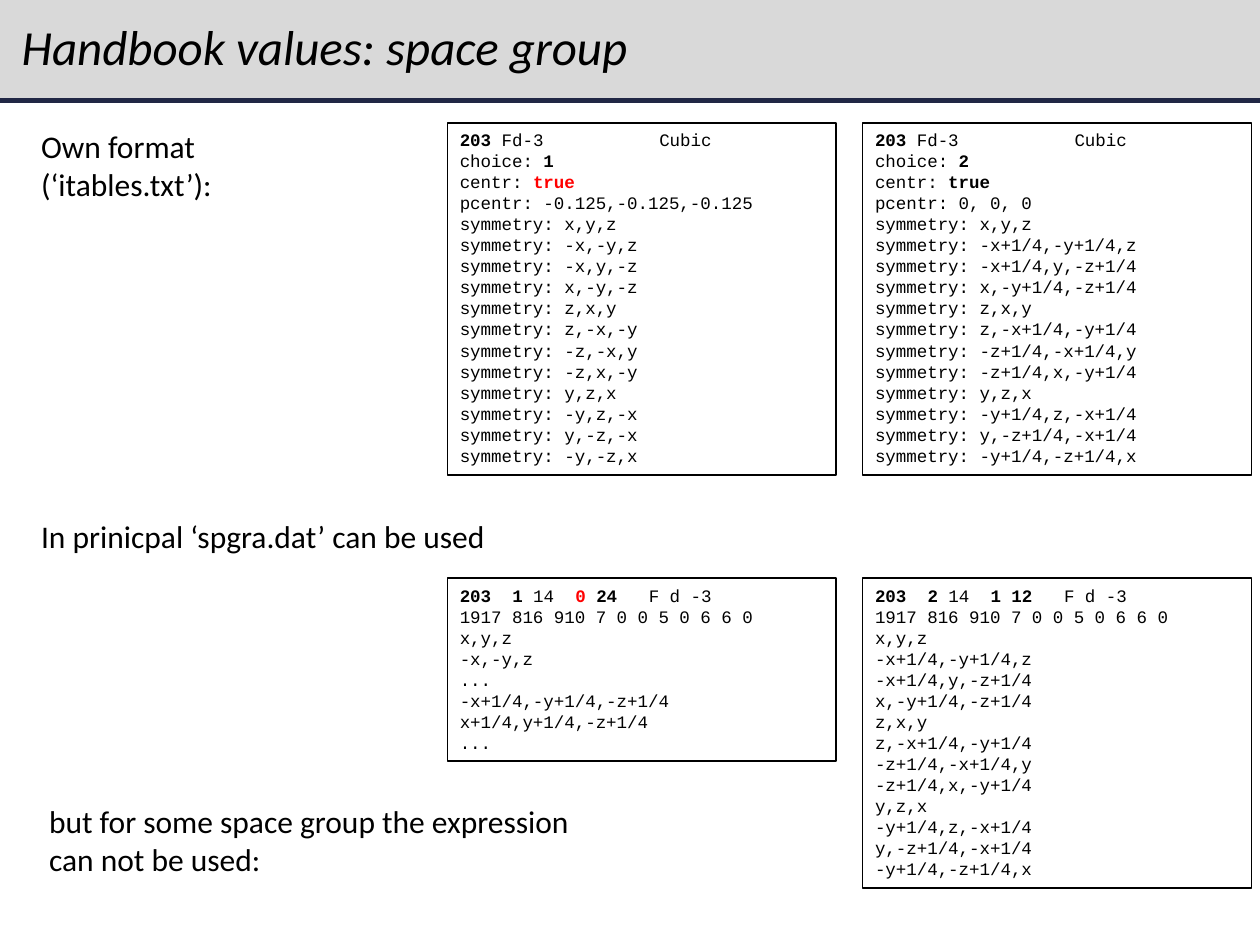
from dataclasses import dataclass

from pptx import Presentation
from pptx.dml.color import RGBColor
from pptx.enum.shapes import MSO_SHAPE as Shape
from pptx.enum.text import MSO_ANCHOR as Anchor, MSO_AUTO_SIZE as AutoSize, PP_ALIGN as Align
from pptx.oxml.ns import qn
from pptx.util import Cm, Pt
from lxml.etree import SubElement


@dataclass(frozen=True)
class Theme:
    ink: RGBColor = RGBColor(0, 0, 0)
    paper: RGBColor = RGBColor(255, 255, 255)
    accent: RGBColor = RGBColor(255, 0, 0)
    band: RGBColor = RGBColor(0xD9, 0xD9, 0xD9)
    rule: RGBColor = RGBColor(0x21, 0x27, 0x45)
    text_font: str = "Calibri"
    code_font: str = "Courier New"
    title_size: Pt = Pt(28)
    note_size: Pt = Pt(18)
    code_size: Pt = Pt(10)


THEME = Theme()
CODE_ADVANCE = 0.2117
BOLD = {"bold": True}
RED = {"bold": True, "color": THEME.accent}


def apply(target, values):
    for name, value in values.items():
        setattr(target, name, value)


def add_span(para, text, font, size, color=THEME.ink, **style):
    span = para.add_run()
    span.text = text
    apply(span.font, {"name": font, "size": size, **style})
    span.font.color.rgb = color


def add_panel(page, bounds, fill, line, width):
    panel = page.shapes.add_shape(Shape.RECTANGLE, *map(Cm, bounds))
    panel.shadow.inherit = False
    panel.fill.solid()
    panel.fill.fore_color.rgb = fill
    panel.line.color.rgb = line
    panel.line.width = Pt(width)
    return panel


def add_tab_stops(para, columns):
    stops = SubElement(para._p.get_or_add_pPr(), qn("a:tabLst"))
    for column in columns:
        SubElement(stops, qn("a:tab"), pos=str(Cm(column * CODE_ADVANCE)), algn="l")


def add_header(page, text, bounds):
    left, top, width, height = bounds
    band = add_panel(page, (left - 0.53, top - 0.25, width + 1.12, height + 0.28),
                     THEME.band, THEME.rule, 3)
    page.shapes._spTree.insert(2, band._element)
    title = page.shapes.title
    apply(title, dict(zip(("left", "top", "width", "height"),
                          map(Cm, (left + 0.18, top, 23.8, height)))))
    apply(title.text_frame, {"vertical_anchor": Anchor.MIDDLE, "word_wrap": True,
                             "auto_size": AutoSize.NONE})
    para = title.text_frame.paragraphs[0]
    apply(para, {"alignment": Align.LEFT, "line_spacing": 0.9})
    add_span(para, text, THEME.text_font, THEME.title_size, italic=True)


def add_note(page, lines, bounds, wrap=False):
    box = page.shapes.add_textbox(*map(Cm, bounds))
    frame = box.text_frame
    apply(frame, {"word_wrap": wrap, "auto_size": AutoSize.SHAPE_TO_FIT_TEXT})
    for index, line in enumerate(lines):
        para = frame.add_paragraph() if index else frame.paragraphs[0]
        add_span(para, line, THEME.text_font, THEME.note_size)


def add_listing(page, lines, columns, bounds):
    frame = add_panel(page, bounds, THEME.paper, THEME.ink, 1).text_frame
    apply(frame, {"word_wrap": True, "vertical_anchor": Anchor.TOP,
                  "auto_size": AutoSize.SHAPE_TO_FIT_TEXT})
    for index, line in enumerate(lines):
        para = frame.add_paragraph() if index else frame.paragraphs[0]
        para.alignment = Align.LEFT
        if index == 0:
            add_tab_stops(para, columns)
        for text, style in line:
            add_span(para, text, THEME.code_font, THEME.code_size, **style)


def plain(lines):
    return [[(line, {})] for line in lines]


def table_entry(choice, centre_style, centre, operators):
    return [
        [("203", BOLD), (" Fd-3\tCubic", {})],
        [("choice: ", {}), (choice, BOLD)],
        [("centr: ", {}), ("true", centre_style)],
        *plain([f"pcentr: {centre}"]),
        *plain(f"symmetry: {operator}" for operator in operators),
    ]


def data_entry(choice, flag, flag_style, count, operators):
    return [
        [("203\t" + choice, BOLD), (" 14\t", {}), (flag + " ", flag_style),
         (count, BOLD), ("\tF d -3", {})],
        *plain(["1917 816 910 7 0 0 5 0 6 6 0", *operators]),
    ]


FIRST_CHOICE = ("x,y,z -x,-y,z -x,y,-z x,-y,-z z,x,y z,-x,-y "
                "-z,-x,y -z,x,-y y,z,x -y,z,-x y,-z,-x -y,-z,x").split()
SECOND_CHOICE = ("x,y,z -x+1/4,-y+1/4,z -x+1/4,y,-z+1/4 x,-y+1/4,-z+1/4 "
                 "z,x,y z,-x+1/4,-y+1/4 -z+1/4,-x+1/4,y -z+1/4,x,-y+1/4 "
                 "y,z,x -y+1/4,z,-x+1/4 y,-z+1/4,-x+1/4 -y+1/4,-z+1/4,x").split()
SHORTENED = [*FIRST_CHOICE[:2], "...", "-x+1/4,-y+1/4,-z+1/4", "x+1/4,y+1/4,-z+1/4", "..."]


def add_listing_row(page, entries, columns, heights, bounds):
    left, top, width, gap = bounds
    for index, (entry, height) in enumerate(zip(entries, heights)):
        add_listing(page, entry, columns, (left + index * (width + gap), top, width, height))


deck = Presentation()
apply(deck, {"slide_width": Cm(25.4), "slide_height": Cm(19.05)})
page = deck.slides.add_slide(deck.slide_layouts[5])

add_header(page, "Handbook values: space group", (0, 0, 25.4, 2))
add_note(page, ["Own format", "(‘itables.txt’):"], (0.58, 2.44, 4.14, 1.8))
add_note(page, ["In prinicpal ‘spgra.dat’ can be used"], (0.58, 10.29, 9.58, 1.02))
add_listing_row(
    page,
    [table_entry("1", RED, "-0.125,-0.125,-0.125", FIRST_CHOICE),
     table_entry("2", BOLD, "0, 0, 0", SECOND_CHOICE)],
    [19], [7.09, 7.09], (9.02, 2.48, 7.84, 0.53))
add_listing_row(
    page,
    [data_entry("1", "0", RED, "24", SHORTENED),
     data_entry("2", "1", BOLD, "12", SECOND_CHOICE)],
    [5, 11, 18], [3.68, 6.25], (9.02, 11.66, 7.84, 0.53))
add_note(page, ["but for some space group the expression can not be used:"],
         (0.74, 16.05, 11.53, 1.8), wrap=True)

deck.save("out.pptx")
